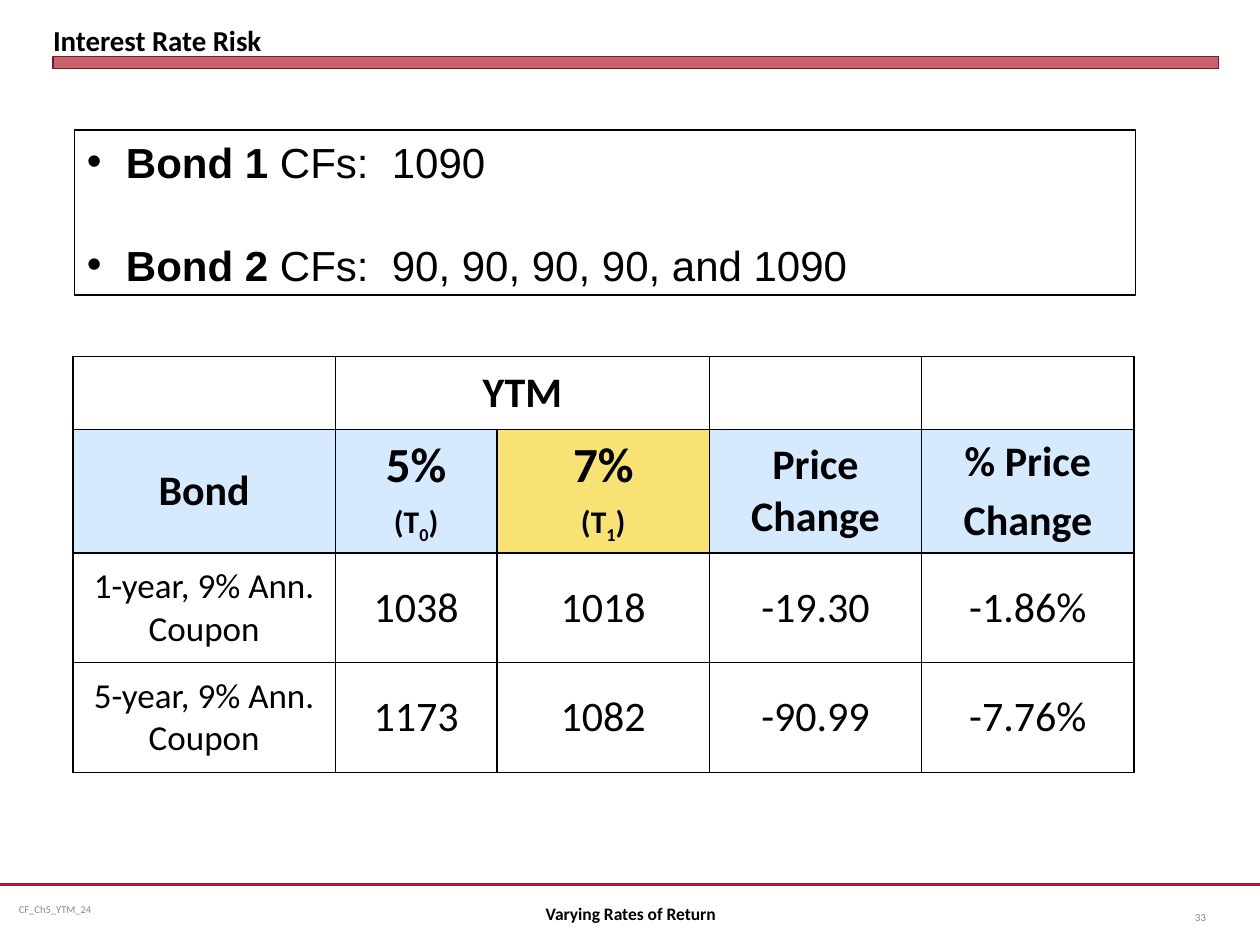
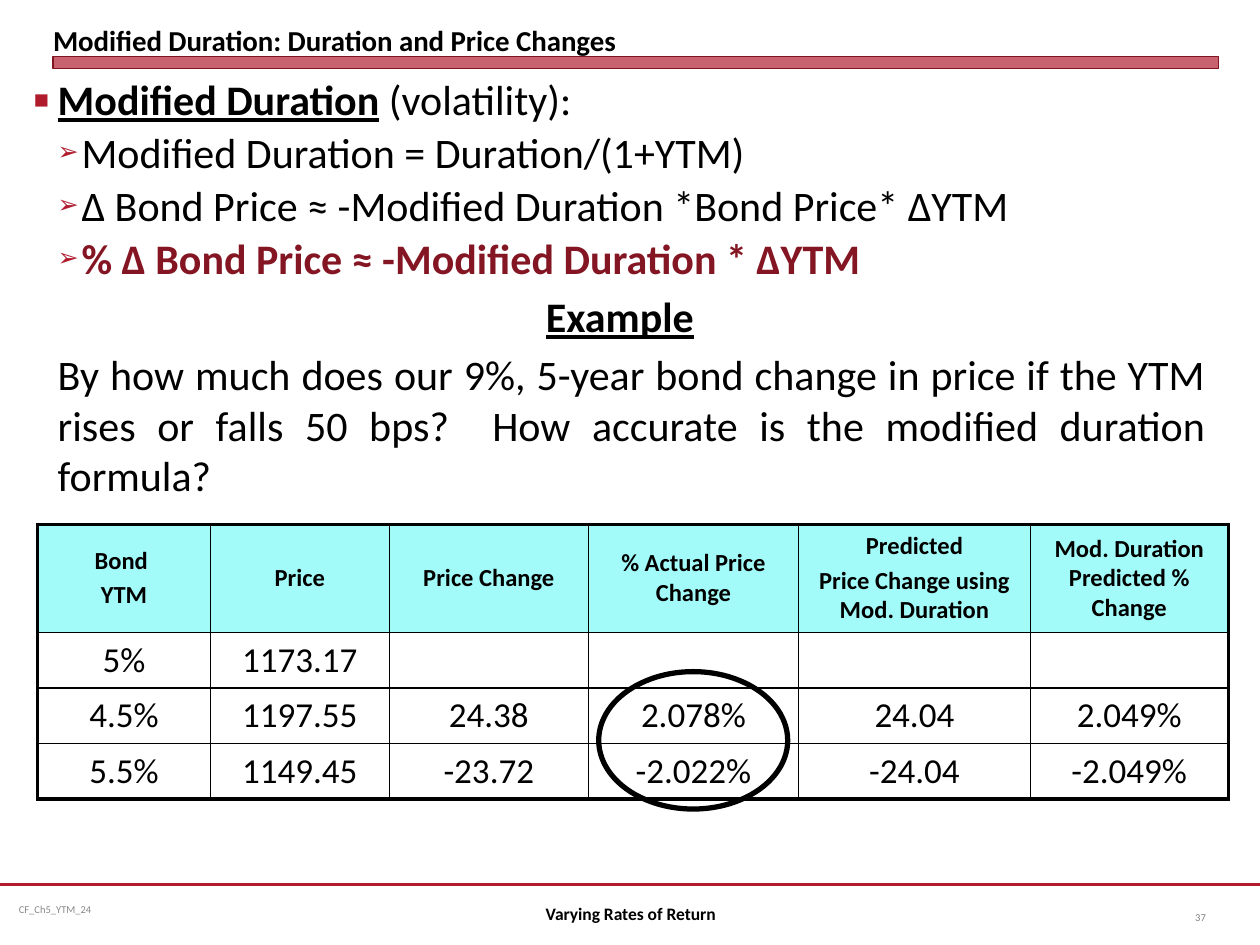
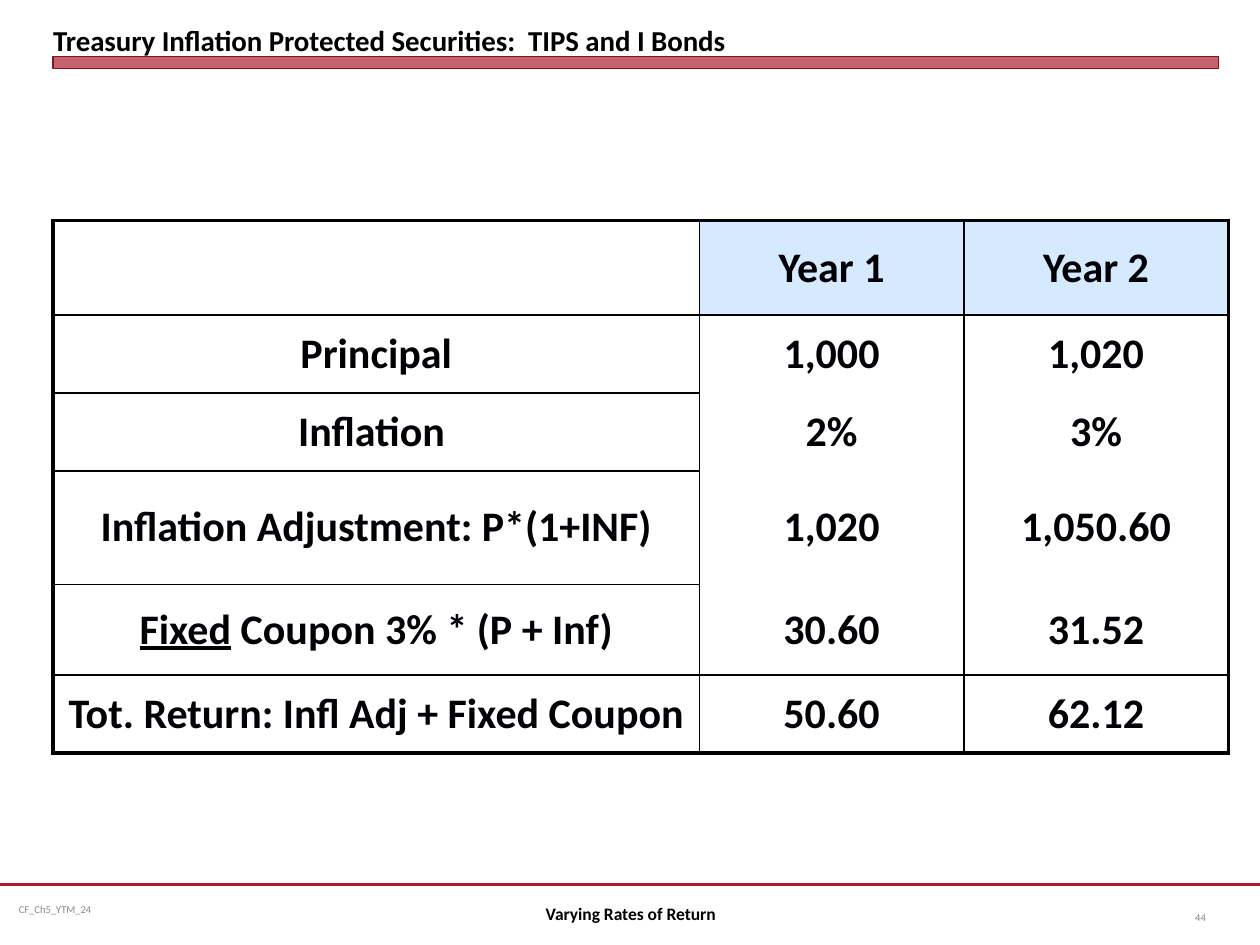
from lxml import etree
from pptx import Presentation
from pptx.dml.color import RGBColor
from pptx.enum.shapes import MSO_CONNECTOR, MSO_SHAPE
from pptx.enum.text import MSO_ANCHOR, MSO_AUTO_SIZE, PP_ALIGN
from pptx.oxml.ns import qn
from pptx.util import Cm, Pt

LEFT, CENTER, RIGHT, JUSTIFY = PP_ALIGN.LEFT, PP_ALIGN.CENTER, PP_ALIGN.RIGHT, PP_ALIGN.JUSTIFY
TOP, MIDDLE, BOTTOM = MSO_ANCHOR.TOP, MSO_ANCHOR.MIDDLE, MSO_ANCHOR.BOTTOM
RECTANGLE, OVAL = MSO_SHAPE.RECTANGLE, MSO_SHAPE.OVAL

BLACK, INK, RED, DARK_RED, FORMULA_RED = "000000", "010004", "B01C2E", "821522", "841523"
CODE_GRAY, NUMBER_GRAY = "898989", "808080"
PALE_BLUE, YELLOW, CYAN = "D6EAFF", "F7E273", "A3FBF9"
SPACE_RATIO = 0.18  # space before a paragraph, as a share of its text size

COURSE_CODE = "CF_Ch5_YTM_24"
CHAPTER = "Varying Rates of Return"

# A run is a string or (string, style); a paragraph is a string or a list of runs;
# a cell is a string or a list of paragraphs. All lengths are in centimetres.
BOND = {"bold": True}
SMALL = {"size": 20}
RATE = {"size": 28}
TIME = {"size": 18}
SUBSCRIPT = {"size": 18, "baseline": -25000}
KEY = {"bold": True, "underline": True}
HEADING = {"size": 24, "bold": True}

CASH_FLOWS = [
    [("Bond 1 ", BOND), "CFs:  1090"],
    [("Bond 2 ", BOND), "CFs:  90, 90, 90, 90, and 1090"],
]
RISK_TABLE = {
    "at": (1.47, 7.19),
    "cols": [5.29, 3.26, 4.28, 4.28, 4.28],
    "rows": [1.47, 2.49, 2.21, 2.21],
    "cells": [
        ["", "YTM", "", "", ""],
        ["Bond",
         [[("5%", RATE)], [("(T", TIME), ("0", SUBSCRIPT), (")", TIME)]],
         [[("7%", RATE)], [("(T", TIME), ("1", SUBSCRIPT), (")", TIME)]],
         "Price Change", ["% Price", "Change"]],
        [[[("1-year, 9% Ann. Coupon", SMALL)]], "1038", "1018", "-19.30", "-1.86%"],
        [[[("5-year, 9% Ann. Coupon", SMALL)]], "1173", "1082", "-90.99", "-7.76%"],
    ],
    "row_styles": [HEADING, HEADING, {"size": 24}, {"size": 24}],
    "fills": {1: [PALE_BLUE, PALE_BLUE, YELLOW, PALE_BLUE, PALE_BLUE]},
    "merge": ((0, 1), (0, 2)),
    "outer": 1,
}

DURATION_POINTS = [
    ("■", 0, [("Modified Duration", KEY), " (volatility):"]),
    ("➢", 1, ["Modified Duration = Duration/(1+YTM)"]),
    ("➢", 1, ["∆ Bond Price ≈ -Modified Duration *Bond Price* ∆YTM"]),
    ("➢", 1, [("% ∆ Bond Price ≈ -Modified Duration * ∆YTM",
               {"bold": True, "color": FORMULA_RED})]),
]
EXAMPLE_HEADING = [("Example", KEY)]
EXAMPLE_QUESTION = [
    "By how much does our 9%, 5-year bond change in price if the YTM rises or falls 50 bps?"
    "  How accurate is the modified duration formula?"]
DURATION_TABLE = {
    "at": (0.76, 10.57),
    "cols": [3.48, 3.61, 4.01, 4.24, 4.67, 3.99],
    "rows": [2.18, 1.12, 1.12, 1.12],
    "cells": [
        [["Bond ", "YTM"], "Price", "Price Change", "% Actual Price Change",
         ["Predicted", "Price Change using Mod. Duration"],
         "Mod. Duration Predicted % Change"],
        ["5%", "1173.17", "", "", "", ""],
        ["4.5%", "1197.55", "24.38", "2.078%", "24.04", "2.049%"],
        ["5.5%", "1149.45", "-23.72", "-2.022%", "-24.04", "-2.049%"],
    ],
    "row_styles": [{"size": 14, "bold": True}] + [SMALL] * 3,
    "fills": {0: [CYAN] * 6},
    "outer": 2.25,
}
ACTUAL_CHANGE_RING = (12.07, 13.54, 3.81, 2.77)

TIPS_TABLE = {
    "at": (1.07, 4.45),
    "cols": [13.03, 5.33, 5.33],
    "rows": [1.9, 1.57, 1.57, 2.29, 1.83, 1.57],
    "cells": [
        ["", "Year 1", "Year 2"],
        ["Principal", "1,000", "1,020"],
        ["Inflation ", "2%", "3%"],
        ["Inflation Adjustment: P*(1+INF)", "1,020", "1,050.60"],
        [[[("Fixed", {"underline": True}), " Coupon 3% * (P + Inf)"]], "30.60", "31.52"],
        ["Tot. Return: Infl Adj + Fixed Coupon", "50.60", "62.12"],
    ],
    "row_styles": [{**HEADING, "color": INK}] * 6,
    "fills": {0: [None, PALE_BLUE, PALE_BLUE]},
    "outer": 2.25,
    "open_rows": (1, 4),
}


def rgb(hex_color):
    return RGBColor.from_string(hex_color)


def box(left, top, width, height):
    return Cm(left), Cm(top), Cm(width), Cm(height)


def add_runs(paragraph, runs, **base):
    """Adds each run in the base style, changed by the run's own style."""
    for item in [runs] if isinstance(runs, str) else runs:
        text, own = (item, {}) if isinstance(item, str) else item
        style = {"font": "Calibri", "size": 24, "color": BLACK, **base, **own}
        run = paragraph.add_run()
        run.text = text
        run.font.name = style["font"]
        run.font.size = Pt(style["size"])
        run.font.bold = style.get("bold", False)
        run.font.underline = style.get("underline", False)
        run.font.color.rgb = rgb(style["color"])
        if "baseline" in style:
            run.font._element.set("baseline", str(style["baseline"]))


def next_paragraph(frame, space=0.0):
    """Returns the empty first paragraph, or a new one with space before it."""
    first = frame.paragraphs[0]
    if not first.runs:
        first.space_before = Pt(0)
        return first
    paragraph = frame.add_paragraph()
    paragraph.space_before = Pt(space)
    return paragraph


def set_bullet(paragraph, indent, hanging, char=None, color=None, percent=100):
    properties = paragraph._p.get_or_add_pPr()
    properties.set("marL", str(Cm(indent)))
    properties.set("indent", str(-Cm(hanging)))
    if not char:
        etree.SubElement(properties, qn("a:buNone"))
        return
    if color:
        holder = etree.SubElement(properties, qn("a:buClr"))
        etree.SubElement(holder, qn("a:srgbClr"), val=color)
    etree.SubElement(properties, qn("a:buSzPct"), val=str(percent * 1000))
    etree.SubElement(properties, qn("a:buFont"), typeface="Arial")
    etree.SubElement(properties, qn("a:buChar"), char=char)


def set_frame(shape, anchor, inset=None):
    frame = shape.text_frame
    frame.word_wrap = True
    frame.auto_size = MSO_AUTO_SIZE.NONE
    frame.vertical_anchor = anchor
    if inset is not None:
        frame.margin_left = frame.margin_right = Cm(inset)
        frame.margin_top = frame.margin_bottom = Cm(inset / 2)
    return frame


def place(shape, left, top, width, height):
    shape.left, shape.top, shape.width, shape.height = box(left, top, width, height)


def add_outline(slide, kind, area, width, color=BLACK):
    shape = slide.shapes.add_shape(kind, *box(*area))
    shape.shadow.inherit = False
    shape.fill.background()
    shape.line.color.rgb = rgb(color)
    shape.line.width = Pt(width)
    return shape


def add_label(slide, area, text, align, inset=0.25, **style):
    label = slide.shapes.add_textbox(*box(*area))
    paragraph = set_frame(label, MIDDLE, inset).paragraphs[0]
    paragraph.alignment = align
    add_runs(paragraph, text, **style)


def add_slide(deck, layout, title, number):
    """Adds a slide with the title, band, rule and footer that all slides share."""
    slide = deck.slides.add_slide(deck.slide_layouts[layout])

    rule = slide.shapes.add_connector(
        MSO_CONNECTOR.STRAIGHT, 0, Cm(17.83), deck.slide_width, Cm(17.83))
    rule.line.color.rgb = rgb(RED)
    rule.line.width = Pt(1.25)
    etree.SubElement(rule._element.spPr, qn("a:effectLst"))

    band = add_outline(slide, RECTANGLE, (1.07, 1.14, 23.5, 0.25), 0, DARK_RED)
    band.fill.solid()
    band.fill.fore_color.rgb = rgb(RED)
    band_color = band._element.spPr.find(qn("a:solidFill"))[0]
    etree.SubElement(band_color, qn("a:alpha"), val="69000")

    place(slide.shapes.title, 1.07, 0.13, 23.5, 1.02)
    heading = set_frame(slide.shapes.title, BOTTOM, 0).paragraphs[0]
    heading.alignment = LEFT
    add_runs(heading, title, size=16.5, bold=True)

    add_label(slide, (0.2, 17.83, 6.55, 1.02), COURSE_CODE, LEFT, 0.18, size=6, color=CODE_GRAY)
    add_label(slide, (8.69, 17.91, 8.05, 1.02), CHAPTER, CENTER, size=10, bold=True)
    add_label(slide, (23.29, 17.98, 1.27, 1.02), str(number), RIGHT, size=6, color=NUMBER_GRAY)
    return slide


def set_borders(cell, widths):
    """Draws left, right, top and bottom lines; a width of 0 leaves a side open."""
    properties = cell._tc.get_or_add_tcPr()
    for side, width in zip("LRTB", widths):
        line = etree.SubElement(properties, qn(f"a:ln{side}"), w=str(Pt(width)))
        if width:
            fill = etree.SubElement(line, qn("a:solidFill"))
            etree.SubElement(fill, qn("a:srgbClr"), val=BLACK)
        else:
            etree.SubElement(line, qn("a:noFill"))


def add_grid(slide, spec):
    cols, rows, outer = spec["cols"], spec["rows"], spec["outer"]
    first_open, last_open = spec.get("open_rows", (0, 0))
    table = slide.shapes.add_table(
        len(rows), len(cols), *box(*spec["at"], sum(cols), sum(rows))).table
    table.first_row = table.horz_banding = False
    for column, width in zip(table.columns, cols):
        column.width = Cm(width)
    for row, height in zip(table.rows, rows):
        row.height = Cm(height)

    for r, line in enumerate(spec["cells"]):
        style = spec["row_styles"][r]
        fills = spec["fills"].get(r, [None] * len(cols))
        for c, content in enumerate(line):
            cell = table.cell(r, c)
            open_top = c > 0 and first_open < r <= last_open
            open_bottom = c > 0 and first_open <= r < last_open
            set_borders(cell, (
                outer if c == 0 else 1,
                outer if c == len(cols) - 1 else 1,
                outer if r == 0 else 0 if open_top else 1,
                outer if r == len(rows) - 1 else 0 if open_bottom else 1))
            if fills[c]:
                cell.fill.solid()
                cell.fill.fore_color.rgb = rgb(fills[c])
            else:
                cell.fill.background()
            cell.vertical_anchor = MIDDLE
            if not content:
                continue
            for runs in [content] if isinstance(content, str) else content:
                paragraph = next_paragraph(cell.text_frame, style["size"] * SPACE_RATIO)
                paragraph.alignment = CENTER
                add_runs(paragraph, runs, **style)
    if "merge" in spec:
        start, end = spec["merge"]
        table.cell(*start).merge(table.cell(*end))


def add_cash_flows(slide):
    frame = set_frame(add_outline(slide, RECTANGLE, (1.5, 2.62, 21.39, 3.33), 0.75), TOP)
    for runs in CASH_FLOWS:
        paragraph = next_paragraph(frame, 30)
        paragraph.alignment = LEFT
        set_bullet(paragraph, 0.79, 0.79, "•")
        add_runs(paragraph, runs, font="Arial")


def fill_duration_text(body):
    place(body, 0.43, 1.47, 24.13, 16.15)
    frame = set_frame(body, TOP)
    space = 24 * SPACE_RATIO
    step = 0.48
    for char, level, runs in DURATION_POINTS:
        paragraph = next_paragraph(frame, space)
        paragraph.level = level
        paragraph.alignment = JUSTIFY
        paragraph.line_spacing = 0.9
        set_bullet(paragraph, step * (level + 1), step, char, RED, 60)
        add_runs(paragraph, runs)
    for runs, align, indent in ((EXAMPLE_HEADING, CENTER, 0), (EXAMPLE_QUESTION, JUSTIFY, step)):
        paragraph = next_paragraph(frame, space)
        paragraph.alignment = align
        set_bullet(paragraph, indent, 0)
        add_runs(paragraph, runs)


def main():
    deck = Presentation()
    deck.slide_width, deck.slide_height = Cm(25.4), Cm(19.05)
    title_and_body, title_only = 1, 5

    risk = add_slide(deck, title_only, "Interest Rate Risk", 33)
    add_grid(risk, RISK_TABLE)
    add_cash_flows(risk)

    duration = add_slide(
        deck, title_and_body, "Modified Duration: Duration and Price Changes", 37)
    fill_duration_text(duration.placeholders[1])
    add_grid(duration, DURATION_TABLE)
    add_outline(duration, OVAL, ACTUAL_CHANGE_RING, 3)

    tips = add_slide(
        deck, title_only, "Treasury Inflation Protected Securities:  TIPS and I Bonds", 44)
    add_grid(tips, TIPS_TABLE)

    deck.save("out.pptx")


if __name__ == "__main__":
    main()
